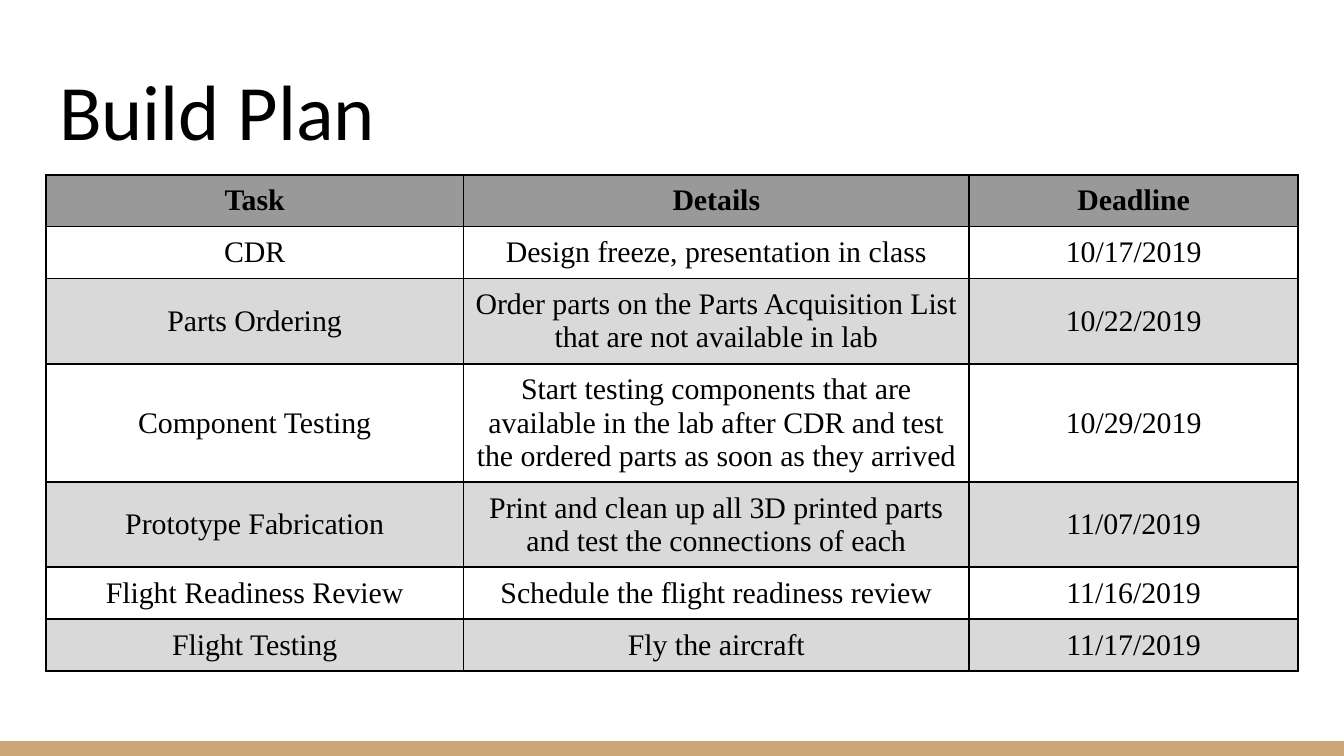
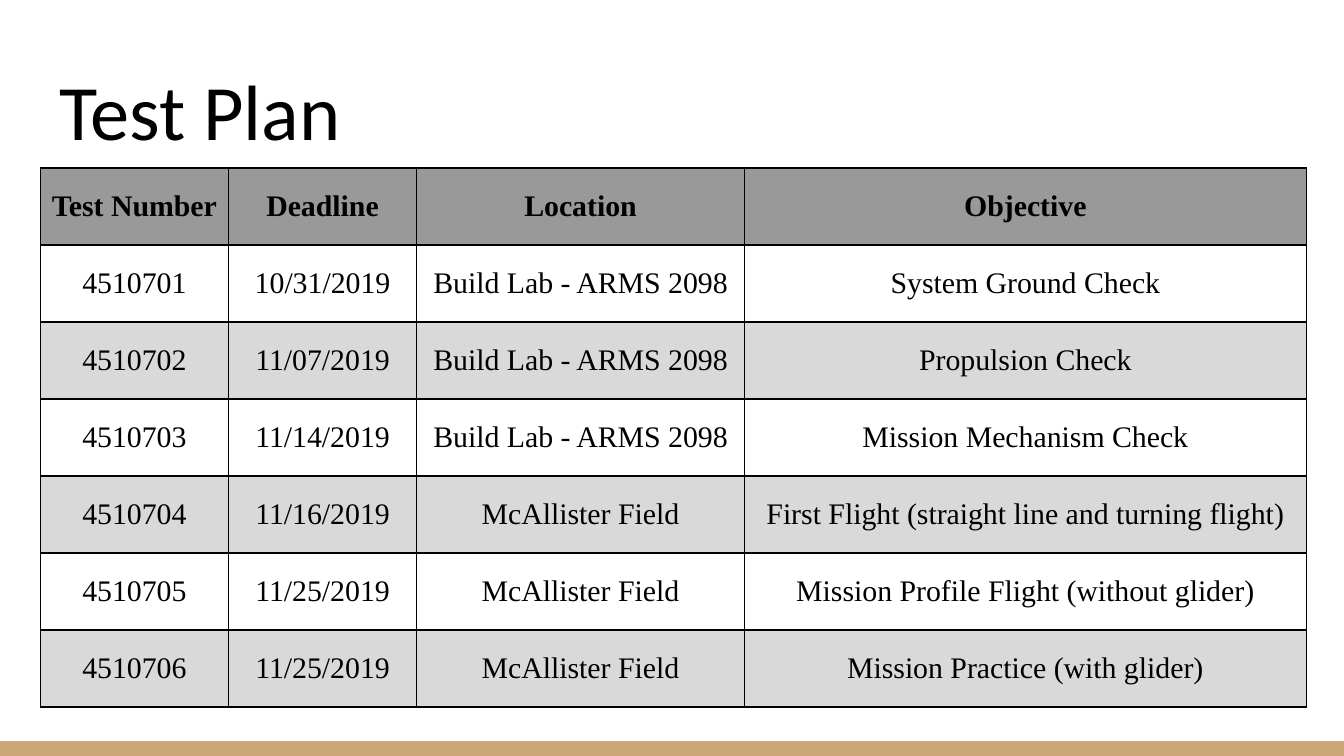
from lxml.etree import SubElement
from pptx import Presentation
from pptx.dml.color import RGBColor
from pptx.enum.shapes import MSO_SHAPE
from pptx.enum.text import MSO_ANCHOR, MSO_AUTO_SIZE, PP_ALIGN
from pptx.oxml import parse_xml
from pptx.oxml.ns import nsdecls, qn
from pptx.util import Inches, Pt

# Shared style
INK, TAN, HEAD, BAND = "000000", "CCA677", "999999", "D9D9D9"
SIDES = ("left", "top", "right", "bottom")
TITLE = {"name": "Calibri", "size": Pt(42), "bold": False}
CELL = {"name": "Times New Roman", "size": Pt(16)}


def tint(code):
    return RGBColor.from_string(code)


def apply(thing, values):
    for key, value in values.items():
        setattr(thing, key, value)


def pad(inch):
    return {f"margin_{side}": Inches(inch) for side in SIDES}


class Deck:
    """Holds the file and the current slide; a grid unit is 0.1 inch."""

    COLS, ROWS = 100, 56.25

    def __init__(self):
        self.file = Presentation()
        apply(self.file, {"slide_width": Inches(10), "slide_height": Inches(5.625)})
        self.slide = None

    def x(self, cols):
        return round(self.file.slide_width * cols / self.COLS)

    def y(self, rows):
        return round(self.file.slide_height * rows / self.ROWS)

    def area(self, left, top, width, height):
        return self.x(left), self.y(top), self.x(width), self.y(height)

    def page(self, title):
        self.slide = self.file.slides.add_slide(self.file.slide_layouts[5])
        self.bar()
        self.title(title)

    def bar(self):
        bar = self.slide.shapes.add_shape(
            MSO_SHAPE.RECTANGLE, *self.area(0, self.ROWS - 1.1, self.COLS, 1.1))
        bar.shadow.inherit = False
        bar.fill.solid()
        bar.fill.fore_color.rgb = tint(TAN)
        bar.line.fill.background()

    def title(self, text):
        shape = self.slide.shapes.title
        spot = self.area(3.4, 3.5, 93.2, 9.1)
        apply(shape, dict(zip(("left", "top", "width", "height"), spot)))
        frame = shape.text_frame
        apply(frame, {**pad(0.1), "vertical_anchor": MSO_ANCHOR.BOTTOM,
                      "word_wrap": True, "auto_size": MSO_AUTO_SIZE.NONE})
        self.label(frame, text, PP_ALIGN.LEFT, TITLE)

    def label(self, frame, text, align, style):
        frame.text = text
        line = frame.paragraphs[0]
        line.alignment = align
        font = line.runs[0].font
        apply(font, style)
        font.color.rgb = tint(INK)

    def table(self, left, top, widths, heights, data):
        spot = self.area(left, top, sum(widths), sum(heights))
        grid = self.slide.shapes.add_table(len(data), len(widths), *spot).table
        apply(grid, {"first_row": False, "horz_banding": False})
        for col, width in zip(grid.columns, widths):
            col.width = self.x(width)
        for row, height in zip(grid.rows, heights):
            row.height = self.y(height)
        for r, texts in enumerate(data):
            # Dark header, then plain and shaded rows in turn
            fill = HEAD if r == 0 else BAND if r % 2 == 0 else None
            for c, text in enumerate(texts):
                self.cell(grid.cell(r, c), text, fill, r == 0)

    def cell(self, cell, text, fill, bold):
        apply(cell, {**pad(0.07), "vertical_anchor": MSO_ANCHOR.MIDDLE})
        self.label(cell.text_frame, text, PP_ALIGN.CENTER, {**CELL, "bold": bold})
        if fill:
            cell.fill.solid()
            cell.fill.fore_color.rgb = tint(fill)
        else:
            cell.fill.background()
        # Borders stand before the fill
        props = cell._tc.get_or_add_tcPr()
        for place, side in enumerate("LRTB"):
            edge = parse_xml(f'<a:ln{side} {nsdecls("a")} w="{Pt(1)}"/>')
            paint = SubElement(edge, qn("a:solidFill"))
            SubElement(paint, qn("a:srgbClr"), val=INK)
            props.insert(place, edge)


BUILD = [
    ("Task", "Details", "Deadline"),
    ("CDR", "Design freeze, presentation in class", "10/17/2019"),
    ("Parts Ordering",
     "Order parts on the Parts Acquisition List that are not available in lab",
     "10/22/2019"),
    ("Component Testing",
     "Start testing components that are available in the lab after CDR "
     "and test the ordered parts as soon as they arrived", "10/29/2019"),
    ("Prototype Fabrication",
     "Print and clean up all 3D printed parts and test the connections of each",
     "11/07/2019"),
    ("Flight Readiness Review", "Schedule the flight readiness review", "11/16/2019"),
    ("Flight Testing", "Fly the aircraft", "11/17/2019"),
]
LINES = (1, 1, 2, 3, 2, 1, 1)

LAB, FIELD = "Build Lab - ARMS 2098", "McAllister Field"
TESTS = [
    ("10/31/2019", LAB, "System Ground Check"),
    ("11/07/2019", LAB, "Propulsion Check"),
    ("11/14/2019", LAB, "Mission Mechanism Check"),
    ("11/16/2019", FIELD, "First Flight (straight line and turning flight)"),
    ("11/25/2019", FIELD, "Mission Profile Flight (without glider)"),
    ("11/25/2019", FIELD, "Mission Practice (with glider)"),
]


def main():
    deck = Deck()

    # Build plan: row height follows the lines of text
    deck.page("Build Plan")
    deck.table(3.4, 13, (31.1, 37.6, 24.5),
               [1.3 + 2.5 * count for count in LINES], BUILD)

    # Test plan: tests are numbered in sequence, rows are equal
    deck.page("Test Plan")
    rows = [("Test Number", "Deadline", "Location", "Objective")]
    rows += [(str(num), *test) for num, test in enumerate(TESTS, 4510701)]
    deck.table(3, 12.5, (14, 14, 24.4, 41.8), [5.73] * len(rows), rows)

    deck.file.save("out.pptx")


if __name__ == "__main__":
    main()
